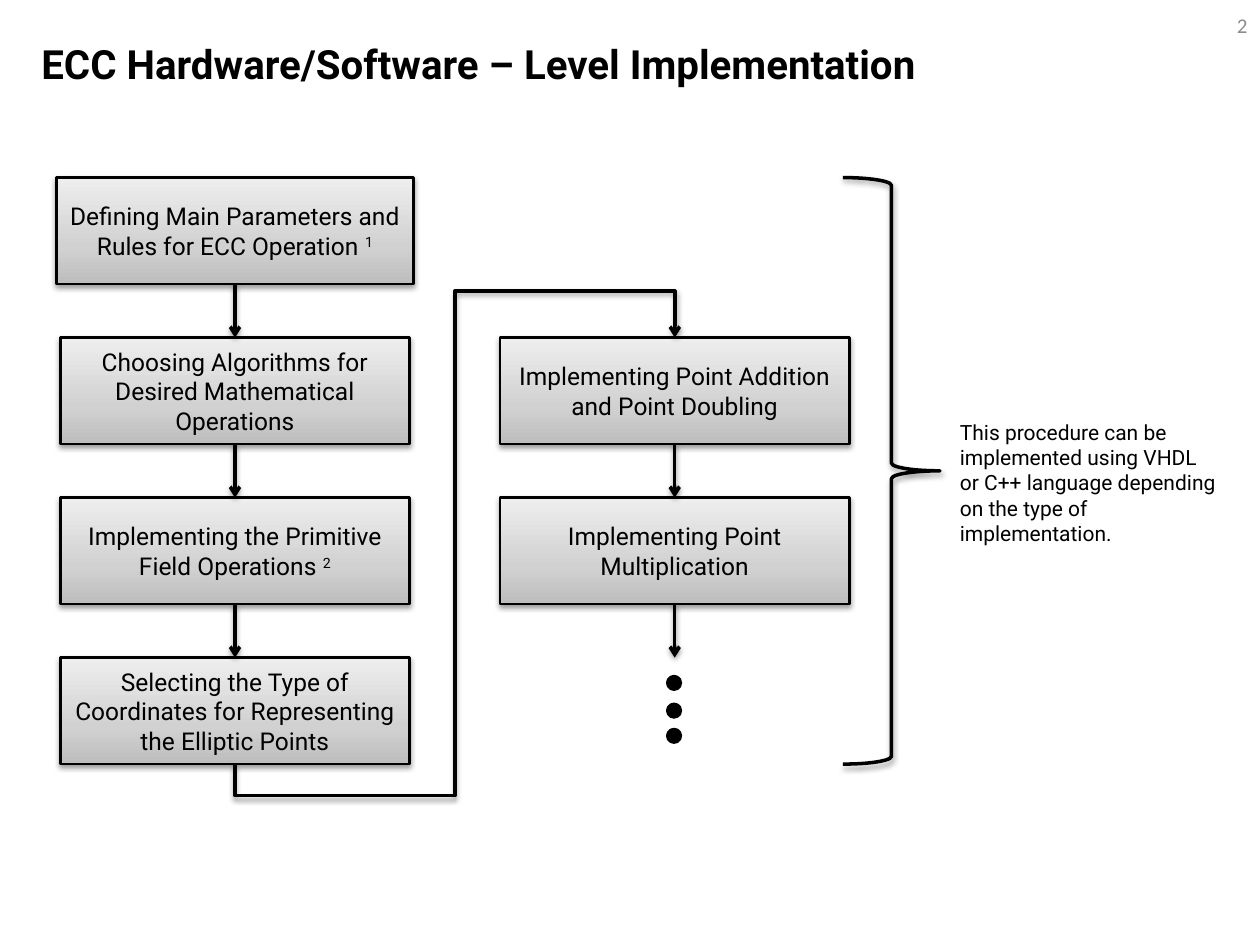
import copy

import pptx
import pptx.dml.color
import pptx.enum.shapes
import pptx.enum.text
import pptx.oxml
import pptx.oxml.ns
import pptx.util

RGBColor = pptx.dml.color.RGBColor
BLACK = RGBColor(0x00, 0x00, 0x00)
NUMBER_GRAY = RGBColor(0x8C, 0x8C, 0x8C)
BOX_STOPS = (
    (0, RGBColor(0xBD, 0xBD, 0xBD)),
    (0.35, RGBColor(0xD1, 0xD1, 0xD1)),
    (1, RGBColor(0xEE, 0xEE, 0xEE)),
)
SHAPES = pptx.enum.shapes.MSO_SHAPE
CONNECTORS = pptx.enum.shapes.MSO_CONNECTOR
ALIGN = pptx.enum.text.PP_ALIGN
ANCHOR = pptx.enum.text.MSO_ANCHOR
qn = pptx.oxml.ns.qn
TOP, BOTTOM = 0, 2

COLUMNS, ROWS = 100, 75
BOX_WIDTH, BOX_HEIGHT = 27.7, 8.45
FLOW_LEFT, FLOW_TOP = 4.8, 14.1
COLUMN_STEP, ROW_STEP = 34.9, 12.7

STEPS = (
    (0, 0, "Defining Main Parameters and Rules for ECC Operation ", "1", 28.3),
    (0, 1, "Choosing Algorithms for Desired Mathematical Operations", "", BOX_WIDTH),
    (0, 2, "Implementing the Primitive Field Operations ", "2", BOX_WIDTH),
    (0, 3, "Selecting the Type of Coordinates for Representing the Elliptic Points", "", BOX_WIDTH),
    (1, 1, "Implementing Point Addition and Point Doubling", "", BOX_WIDTH),
    (1, 2, "Implementing Point Multiplication", "", BOX_WIDTH),
)
LANGUAGE_NOTE = (
    "This procedure can be",
    "implemented using VHDL",
    "or C++ language depending",
    "on the type of implementation.",
)


class FlowSlide:
    font = "Roboto"

    def __init__(self, deck):
        self.slide = deck.slides.add_slide(deck.slide_layouts[6])
        self.shapes = self.slide.shapes
        self.column = deck.slide_width / COLUMNS
        self.row = deck.slide_height / ROWS

    def grid(self, *lengths):
        units = (self.column, self.row) * 2
        return [round(length * unit) for length, unit in zip(lengths, units)]

    def outline(self, item, width):
        item.line.color.rgb = BLACK
        item.line.width = pptx.util.Pt(width)

    def shadow(self, item):
        item._element.spPr.append(pptx.oxml.parse_xml(
            f'<a:effectLst {pptx.oxml.ns.nsdecls("a")}>'
            '<a:outerShdw blurRad="40000" dist="20000" dir="5400000" rotWithShape="0">'
            '<a:srgbClr val="000000"><a:alpha val="38000"/></a:srgbClr>'
            '</a:outerShdw></a:effectLst>'))

    def style_text(self, frame, size, align, color=BLACK, bold=False, font=None):
        frame.word_wrap = True
        for paragraph in frame.paragraphs:
            paragraph.alignment = align
            for run in paragraph.runs:
                run.font.name = font or self.font
                run.font.size = pptx.util.Pt(size)
                run.font.bold = bold
                run.font.color.rgb = color

    def text(self, area, wording, size, align=ALIGN.LEFT, anchor=ANCHOR.TOP, **style):
        frame = self.shapes.add_textbox(*self.grid(*area)).text_frame
        frame.text = wording
        frame.vertical_anchor = anchor
        self.style_text(frame, size, align, **style)

    def step(self, column, row, wording, footnote, width):
        left = FLOW_LEFT + column * COLUMN_STEP - (width - BOX_WIDTH) / 2
        top = FLOW_TOP + row * ROW_STEP
        box = self.shapes.add_shape(
            SHAPES.FLOWCHART_PROCESS, *self.grid(left, top, width, BOX_HEIGHT))
        box.fill.gradient()
        box.fill.gradient_angle = 90
        stop_list = box._element.spPr.find(".//" + qn("a:gsLst"))
        stop_list.insert(1, copy.deepcopy(stop_list[0]))
        for stop, (position, color) in zip(box.fill.gradient_stops, BOX_STOPS):
            stop.position = position
            stop.color.rgb = color
        self.outline(box, 1.5)
        self.shadow(box)
        frame = box.text_frame
        frame.text = wording
        frame.vertical_anchor = ANCHOR.MIDDLE
        if footnote:
            mark = frame.paragraphs[0].add_run()
            mark.text = footnote
            mark.font._element.set("baseline", "30000")
        self.style_text(frame, 14, ALIGN.CENTER)
        return box

    def finish_arrow(self, arrow):
        self.outline(arrow, 2)
        line = arrow._element.spPr.find(qn("a:ln"))
        line.append(pptx.oxml.parse_xml(
            f'<a:tailEnd {pptx.oxml.ns.nsdecls("a")} type="arrow"/>'))
        self.shadow(arrow)

    def arrow(self, upper, lower=None):
        center = upper.left + upper.width // 2
        bottom = upper.top + upper.height
        gap = round((ROW_STEP - BOX_HEIGHT) * self.row)
        arrow = self.shapes.add_connector(
            CONNECTORS.STRAIGHT, center, bottom, center, bottom + gap)
        arrow.begin_connect(upper, BOTTOM)
        if lower is not None:
            arrow.end_connect(lower, TOP)
        self.finish_arrow(arrow)

    def return_arrow(self, last, first):
        start_x, start_y = last.left + last.width // 2, last.top + last.height
        end_x, end_y = first.left + first.width // 2, first.top
        middle_x, middle_y = (start_x + end_x) // 2, (start_y + end_y) // 2
        half_width, half_height = (start_y - end_y) // 2, (end_x - start_x) // 2
        arrow = self.shapes.add_connector(
            CONNECTORS.ELBOW,
            middle_x + half_width, middle_y + half_height,
            middle_x - half_width, middle_y - half_height)
        properties = arrow._element.spPr
        properties.find(qn("a:xfrm")).set("rot", "5400000")
        geometry = properties.find(qn("a:prstGeom"))
        geometry.set("prst", "bentConnector5")
        guides = geometry.get_or_add_avLst()
        for number, value in enumerate((-7400, 50000, 110900), 1):
            guides.append(pptx.oxml.parse_xml(
                f'<a:gd {pptx.oxml.ns.nsdecls("a")} name="adj{number}" fmla="val {value}"/>'))
        self.finish_arrow(arrow)

    def brace(self, *area):
        brace = self.shapes.add_shape(SHAPES.RIGHT_BRACE, *self.grid(*area))
        brace.adjustments[0] = 0.08
        brace.adjustments[1] = 0.5
        brace.fill.background()
        self.outline(brace, 2)
        self.shadow(brace)

    def dot(self, left, top):
        dot = self.shapes.add_shape(SHAPES.OVAL, *self.grid(left, top, 1, 1))
        dot.fill.solid()
        dot.fill.fore_color.rgb = BLACK
        dot.shadow.inherit = False
        self.outline(dot, 2)


def main():
    deck = pptx.Presentation()
    deck.slide_width = pptx.util.Inches(10)
    deck.slide_height = pptx.util.Inches(7.5)
    flow = FlowSlide(deck)

    flow.text((2.3, 2.6, 84.6, 4.9), "ECC Hardware/Software – Level Implementation", 23, bold=True)
    flow.text((76.7, 0, 23.3, 4), "2", 12, ALIGN.RIGHT, ANCHOR.MIDDLE,
              color=NUMBER_GRAY, font="Calibri")

    parameters, algorithms, primitives, coordinates, addition, multiplication = (
        flow.step(*step) for step in STEPS)
    flow.return_arrow(coordinates, addition)
    for upper, lower in (
        (parameters, algorithms),
        (algorithms, primitives),
        (primitives, coordinates),
        (addition, multiplication),
        (multiplication, None),
    ):
        flow.arrow(upper, lower)
    for top in (53.7, 55.9, 57.9):
        flow.dot(53, top)

    flow.brace(66.9, FLOW_TOP, 7.7, 3 * ROW_STEP + BOX_HEIGHT)
    flow.text((75.2, 32.8, 24, 9.1), "\n".join(LANGUAGE_NOTE), 12)
    deck.save("out.pptx")


if __name__ == "__main__":
    main()
